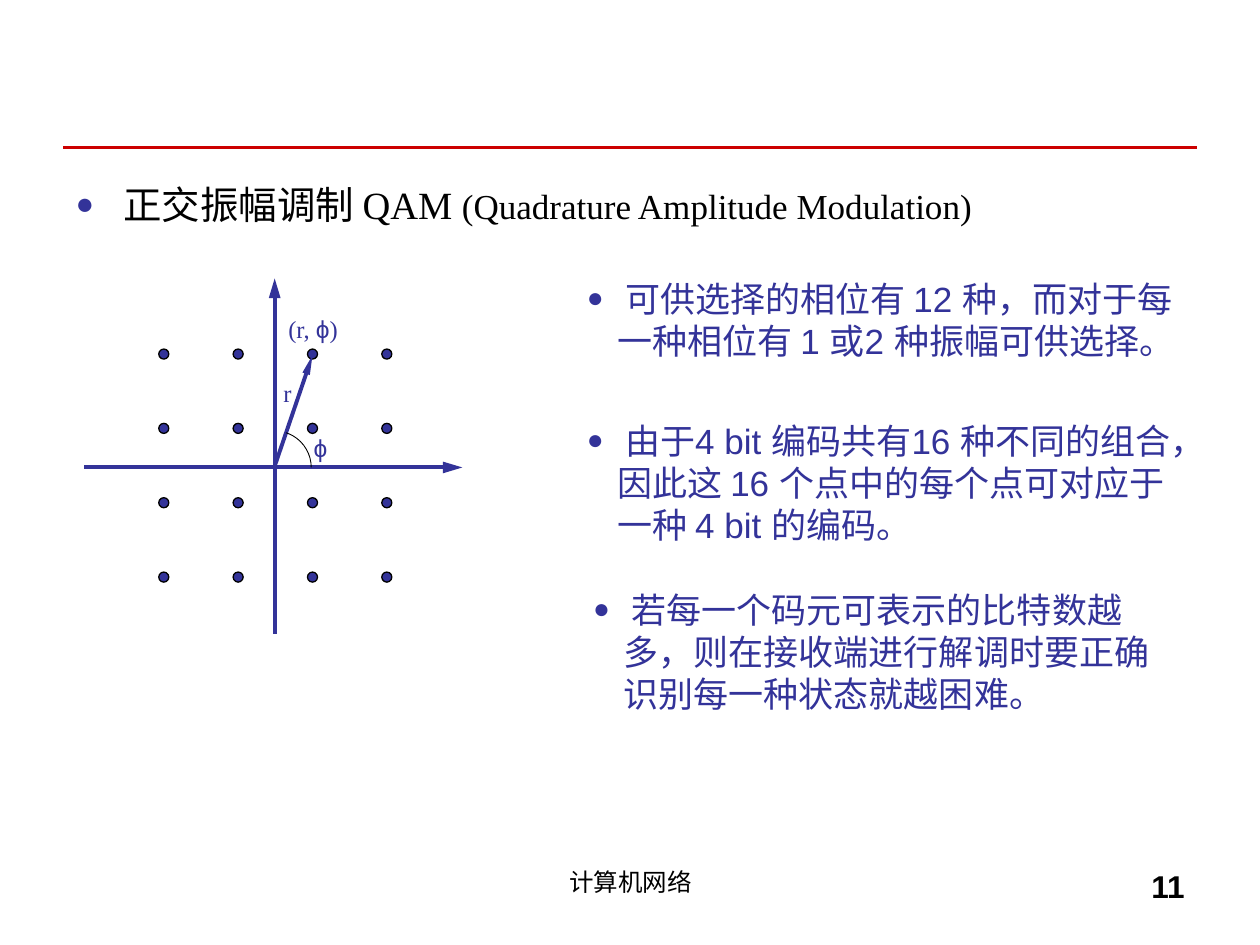
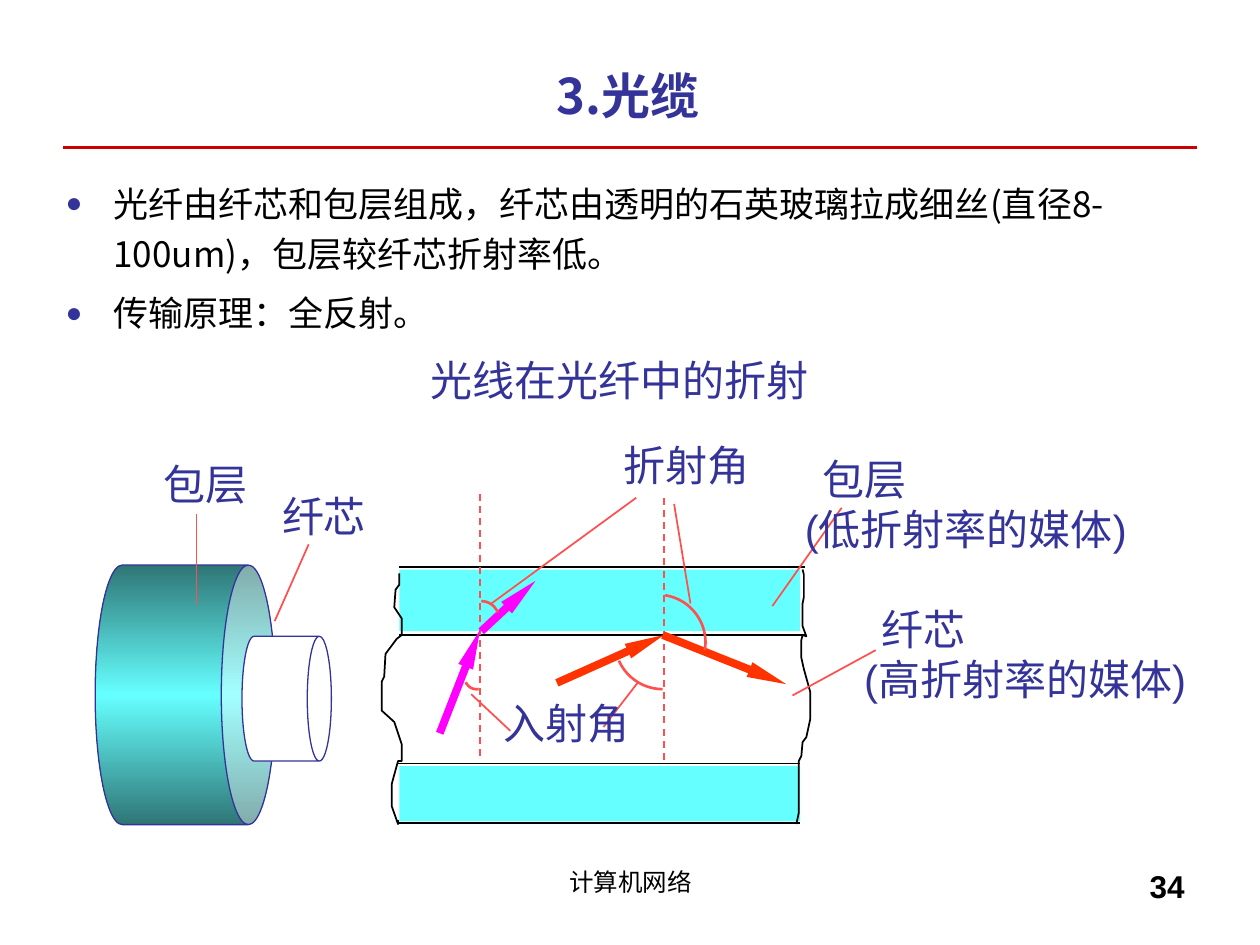
from copy import deepcopy
from dataclasses import dataclass
from itertools import product

from lxml.etree import SubElement
from pptx import Presentation
from pptx.dml.color import RGBColor as RGB
from pptx.enum.dml import MSO_LINE_DASH_STYLE as DASH
from pptx.enum.shapes import MSO_CONNECTOR as CONNECTOR, MSO_SHAPE as SHAPE
from pptx.enum.text import MSO_ANCHOR as ANCHOR, MSO_AUTO_SIZE as AUTO_SIZE, PP_ALIGN as ALIGN
from pptx.oxml.ns import qn
from pptx.util import Pt

PX = 9144


@dataclass(frozen=True)
class Theme:
    navy: RGB = RGB(0x33, 0x33, 0x99)
    black: RGB = RGB(0, 0, 0)
    white: RGB = RGB(255, 255, 255)
    rule: RGB = RGB(0xCC, 0, 0)
    coral: RGB = RGB(0xFF, 0x50, 0x50)
    magenta: RGB = RGB(0xFF, 0, 0xFF)
    orange: RGB = RGB(0xFF, 0x33, 0)
    cyan: RGB = RGB(0x66, 0xFF, 0xFF)
    teal: RGB = RGB(0x2F, 0x76, 0x76)
    sans: str = "Arial"
    serif: str = "Times New Roman"
    chinese: str = "Noto Sans CJK SC"
    title: int = 28
    label: int = 24
    heading: int = 22
    body: int = 20
    number: int = 18
    small: int = 14


theme = Theme()


def format_paragraph(paragraph, size, face, color, bold=False, hanging=0):
    properties = paragraph._p.get_or_add_pPr()
    if hanging:
        properties.set("marL", str(hanging * PX))
        properties.set("indent", str(-hanging * PX))
        bullet_color = SubElement(properties, qn("a:buClr"))
        SubElement(bullet_color, qn("a:srgbClr"), val=str(theme.navy))
        SubElement(properties, qn("a:buSzPct"), val="80000")
        SubElement(properties, qn("a:buFont"), typeface=theme.sans)
        SubElement(properties, qn("a:buChar"), char="●")
    font = paragraph.font
    font.size, font.bold, font.name = Pt(size), bold, face
    font.color.rgb = color
    SubElement(properties.find(qn("a:defRPr")), qn("a:ea"), typeface=theme.chinese)


def add_line(slide, start, end, color, width, head=None, dashed=False):
    connector = slide.shapes.add_connector(
        CONNECTOR.STRAIGHT, *(value * PX for value in (*start, *end)))
    connector.line.color.rgb = color
    connector.line.width = Pt(width)
    if dashed:
        connector.line.dash_style = DASH.DASH
    properties = connector._element.spPr
    if head:
        SubElement(properties.find(qn("a:ln")), qn("a:tailEnd"), type="triangle", w=head, len="lg")
    SubElement(properties, qn("a:effectLst"))


presentation = Presentation()
presentation.slide_width, presentation.slide_height = 1000 * PX, 750 * PX
layout = presentation.slide_layouts[1]
qam, fiber = (presentation.slides.add_slide(layout) for _ in range(2))

for slide, number in ((qam, "11"), (fiber, "34")):
    add_line(slide, (50, 117), (950, 117), theme.rule, 2)
    for left, width, text, size, align, bold in (
        (342, 317, "计算机网络", theme.small, ALIGN.CENTER, False),
        (717, 233, number, theme.number, ALIGN.RIGHT, True),
    ):
        frame = slide.shapes.add_textbox(left * PX, 683 * PX, width * PX, 52 * PX).text_frame
        frame.word_wrap = True
        paragraph = frame.paragraphs[0]
        paragraph.text, paragraph.alignment = text, align
        format_paragraph(paragraph, size, theme.sans, theme.black, bold)

qam_title = qam.shapes.title._element
qam_title.getparent().remove(qam_title)

title = fiber.shapes.title
title.left, title.top, title.width, title.height = 50 * PX, 44 * PX, 897 * PX, 62 * PX
title.text_frame.text = "3.光缆"
title.text_frame.vertical_anchor = ANCHOR.MIDDLE
title.text_frame.paragraphs[0].alignment = ALIGN.CENTER
format_paragraph(title.text_frame.paragraphs[0], theme.title, theme.chinese, theme.navy, True)

for slide, left, top, height, text in (
    (qam, 50, 131, 552, "正交振幅调制 QAM "),
    (fiber, 42, 133, 297,
     "光纤由纤芯和包层组成，纤芯由透明的石英玻璃拉成细丝(直径8-100um)，包层较纤芯折射率低。\n"
     "传输原理：全反射。\n光线在光纤中的折射"),
):
    body = slide.placeholders[1]
    body.left, body.top, body.width, body.height = left * PX, top * PX, 900 * PX, height * PX
    body.text_frame.text = text
    body.text_frame.auto_size = AUTO_SIZE.NONE
    for index, paragraph in enumerate(body.text_frame.paragraphs):
        paragraph.line_spacing = 1.2
        paragraph.space_before = Pt(5 if index else 0)

heading = qam.placeholders[1].text_frame.paragraphs[0]
format_paragraph(heading, theme.heading, theme.serif, theme.black, hanging=38)
expansion = heading.add_run()
expansion.text = "(Quadrature Amplitude Modulation)"
expansion.font.size = Pt(theme.body)

*points, caption = fiber.placeholders[1].text_frame.paragraphs
for point in points:
    format_paragraph(point, theme.body, theme.chinese, theme.black, hanging=38)
caption.alignment = ALIGN.CENTER
caption.space_before = Pt(6)
caption_properties = caption._p.get_or_add_pPr()
caption_properties.set("marL", "0")
caption_properties.set("indent", "0")
SubElement(caption_properties, qn("a:buNone"))
format_paragraph(caption, theme.label, theme.serif, theme.navy)

add_line(qam, (218, 503), (218, 221), theme.navy, 2.25, "med")
add_line(qam, (67, 371), (367, 371), theme.navy, 2.25, "med")
for column, row in product(range(4), repeat=2):
    dot = qam.shapes.add_shape(
        SHAPE.OVAL, (126 + 59 * column) * PX, (277 + 59 * row) * PX, 8 * PX, 8 * PX)
    dot.shadow.inherit = False
    dot.fill.solid()
    dot.fill.fore_color.rgb = theme.navy
    dot.line.color.rgb = theme.black
    dot.line.width = Pt(0.75)
add_line(qam, (218, 370), (248, 282), theme.navy, 2.25, "sm")

for left, top, width, text in (
    (456, 215, 485, " 可供选择的相位有 12 种，而对于每一种相位有 1 或2 种振幅可供选择。"),
    (456, 328, 485, " 由于4 bit 编码共有16 种不同的组合，因此这 16 个点中的每个点可对应于一种 4 bit 的编码。"),
    (461, 462, 465, " 若每一个码元可表示的比特数越多，则在接收端进行解调时要正确识别每一种状态就越困难。"),
):
    frame = qam.shapes.add_textbox(left * PX, top * PX, width * PX, 110 * PX).text_frame
    frame.word_wrap = True
    frame.text = text
    format_paragraph(frame.paragraphs[0], theme.body, theme.sans, theme.navy, hanging=24)

for top, height, band_top, band_height, left, right in (
    (450, 54, 452, 49, 317, 639), (606, 47, 608, 44, 315, 635),
):
    band = fiber.shapes.add_shape(
        SHAPE.RECTANGLE, 317 * PX, band_top * PX, 318 * PX, band_height * PX)
    band.shadow.inherit = False
    band.fill.solid()
    band.fill.fore_color.rgb = theme.cyan
    band.line.fill.background()
    for y in (top, top + height):
        add_line(fiber, (left, y), (right, y), theme.black, 1)

left_edge = (
    (317, 455), (317, 464), (314, 468), (313, 482), (319, 491), (319, 504), (315, 507),
    (306, 519), (305, 537), (303, 541), (303, 564), (313, 573), (319, 591), (319, 604),
    (316, 604), (311, 622), (311, 640), (316, 654), (316, 651))
right_edge = (
    (637, 452), (638, 456), (638, 474), (637, 479), (637, 497), (640, 505), (637, 504),
    (636, 508), (636, 522), (638, 531), (643, 549), (643, 571), (640, 585), (637, 589),
    (636, 600), (634, 604), (634, 645), (632, 654))
for start, *others in (left_edge, right_edge):
    builder = fiber.shapes.build_freeform(*start, scale=PX)
    builder.add_line_segments(others, close=False)
    edge = builder.convert_to_shape()
    edge.shadow.inherit = False
    edge.fill.background()
    edge.line.color.rgb = theme.black
    edge.line.width = Pt(1)

for x, top, bottom in ((381, 392, 604), (527, 395, 606)):
    add_line(fiber, (x, top), (x, bottom), theme.coral, 1, dashed=True)
for start, end, color in (
    ((382, 501), (425, 461), theme.magenta),
    ((349, 582), (381, 500), theme.magenta),
    ((442, 542), (527, 504), theme.orange),
    ((526, 504), (624, 543), theme.orange),
):
    add_line(fiber, start, end, color, 4.5, "sm")
for start, end in (
    ((535, 400), (548, 479)), ((390, 479), (505, 395)), ((374, 551), (405, 580)),
    ((479, 577), (506, 542)), ((629, 552), (695, 516)), ((668, 403), (613, 481)),
):
    add_line(fiber, start, end, theme.coral, 1)

for slide, x, y, radius, start, end, color, width in (
    (qam, 218, 371, 29, -72, 0, theme.black, 0.5),
    (fiber, 382, 491, 14, -90, -20, theme.coral, 1.5),
    (fiber, 378, 538, 9, 78, 158, theme.coral, 1.5),
    (fiber, 526, 509, 38, 90, 156, theme.coral, 1.5),
    (fiber, 522, 510, 38, -81, 9, theme.coral, 1.5),
):
    arc = slide.shapes.add_shape(
        SHAPE.ARC, (x - radius) * PX, (y - radius) * PX, 2 * radius * PX, 2 * radius * PX)
    arc.adjustments[0], arc.adjustments[1] = start % 360 * 0.6, end % 360 * 0.6
    arc.shadow.inherit = False
    arc.fill.background()
    arc.line.color.rgb = color
    arc.line.width = Pt(width)

cans = []
for left, top, width, height, lid in ((44, 480, 206, 143, 0.3), (178, 519, 99, 71, 0.27)):
    can = fiber.shapes.add_shape(SHAPE.CAN, left * PX, top * PX, width * PX, height * PX)
    can.rotation = 90
    can.adjustments[0] = lid
    can.shadow.inherit = False
    can.line.color.rgb = theme.navy
    can.line.width = Pt(0.75)
    cans.append(can)
cladding, core = cans
core.fill.solid()
core.fill.fore_color.rgb = theme.white
cladding.fill.gradient()
cladding.fill.gradient_angle = 0
first_stop = cladding._element.spPr.find(".//" + qn("a:gs"))
first_stop.addnext(deepcopy(first_stop))
for stop, position, color in zip(
        cladding.fill.gradient_stops, (0, 0.5, 1), (theme.teal, theme.cyan, theme.teal)):
    stop.position = position
    stop.color.rgb = color
add_line(fiber, (156, 408), (156, 480), theme.coral, 1)
add_line(fiber, (245, 432), (218, 493), theme.coral, 1)

for slide, left, top, width, height, text, size, face in (
    (qam, 215, 295, 50, 34, "r", theme.small, theme.serif),
    (qam, 239, 339, 50, 34, "ϕ", theme.small, theme.sans),
    (qam, 219, 244, 90, 34, "(r, ϕ)", theme.small, theme.serif),
    (fiber, 485, 344, 140, 50, "折射角", theme.label, theme.sans),
    (fiber, 390, 549, 140, 50, "入射角", theme.label, theme.sans),
    (fiber, 120, 359, 110, 50, "包层", theme.label, theme.sans),
    (fiber, 214, 384, 110, 50, "纤芯", theme.label, theme.sans),
    (fiber, 629, 355, 320, 90, "包层\n(低折射率的媒体)", theme.label, theme.sans),
    (fiber, 676, 474, 320, 90, "纤芯\n(高折射率的媒体)", theme.label, theme.sans),
):
    frame = slide.shapes.add_textbox(left * PX, top * PX, width * PX, height * PX).text_frame
    frame.word_wrap = True
    frame.text = text
    for paragraph in frame.paragraphs:
        format_paragraph(paragraph, size, face, theme.navy)
    if len(frame.paragraphs) == 2:
        frame.paragraphs[0]._p.get_or_add_pPr().set("marL", str(14 * PX))
    if text == "(r, ϕ)":
        paragraph = frame.paragraphs[0]
        paragraph.clear()
        for part, part_face in (("(r, ", theme.serif), ("ϕ", theme.sans), (")", theme.serif)):
            run = paragraph.add_run()
            run.text, run.font.name = part, part_face

presentation.save("out.pptx")
